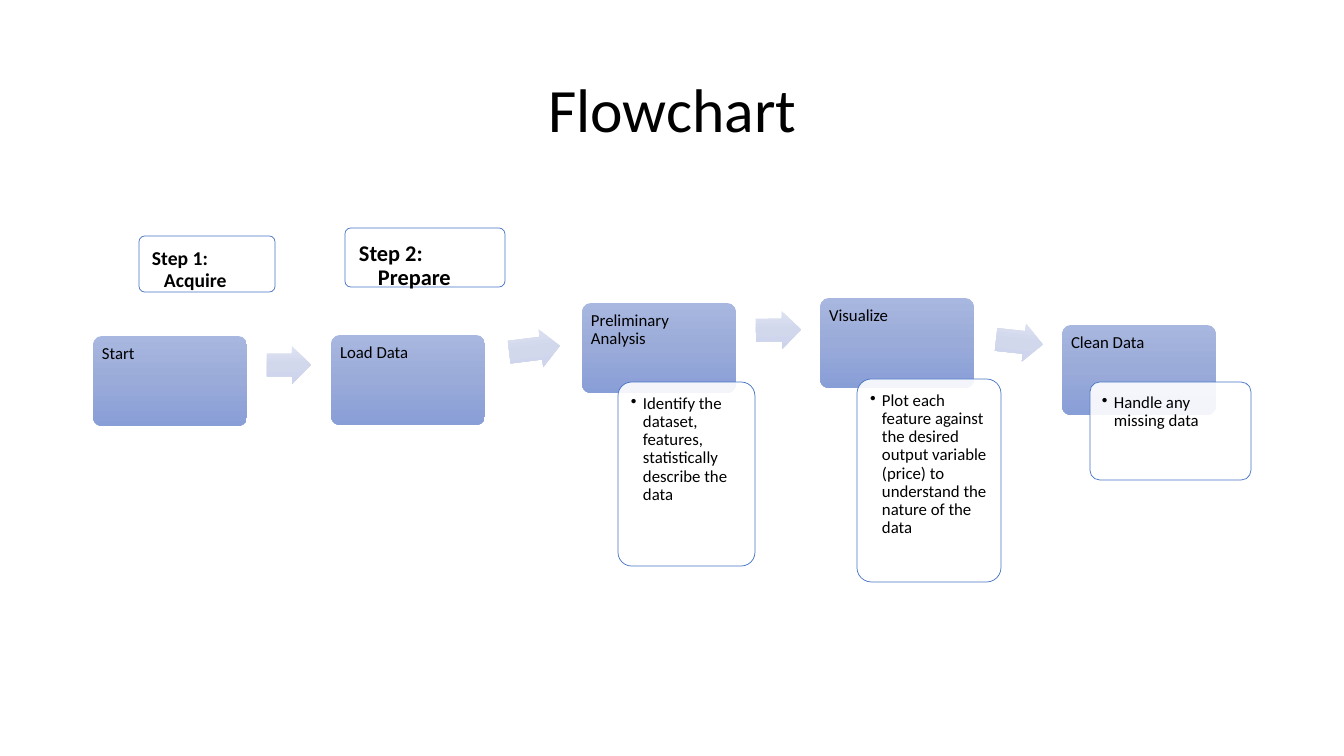
from lxml import etree
from pptx import Presentation
from pptx.dml.color import RGBColor
from pptx.enum.shapes import MSO_SHAPE
from pptx.enum.text import MSO_ANCHOR, PP_ALIGN
from pptx.oxml.ns import qn
from pptx.util import Emu, Pt

ROUNDED = MSO_SHAPE.ROUNDED_RECTANGLE
ARROW = MSO_SHAPE.RIGHT_ARROW
MIDDLE, TOP = MSO_ANCHOR.MIDDLE, MSO_ANCHOR.TOP
CENTER, LEFT = PP_ALIGN.CENTER, PP_ALIGN.LEFT

PIXEL = 914400 / 100.8
FONT = "Calibri"
BLACK, WHITE, BLUE = "000000", "FFFFFF", "4472C4"
CARD_COLORS = ("A8B7DF", "9AABD9", "889ED7")
ARROW_COLORS = ("DEE3F2", "D2D8EC", "CCD3EB")
CARD_SIZE = (154, 90)
CARD_TEXT_HEIGHT = 59

# Each stage: card corner, card title, note box, note text, note style
STEP_1 = {"size": 14, "bold": True, "inset": 11, "hanging": 12}
STEP_2 = {"size": 16, "bold": True, "inset": 12, "hanging": 19}
DETAIL = {"size": 12, "inset": 9, "hanging": 12, "bullet": "•"}
STAGES = [
    ((93, 336), "Start", (139, 236, 136, 56), "Step 1: Acquire", STEP_1),
    ((331, 335), "Load Data", (345, 228, 160, 59), "Step 2: Prepare", STEP_2),
    ((582, 303), "Preliminary Analysis", (618, 382, 137, 184),
     "Identify the dataset, features, statistically describe the data", DETAIL),
    ((820, 298), "Visualize", (857, 379, 144, 203),
     "Plot each feature against the desired output variable (price) "
     "to understand the nature of the data", DETAIL),
    ((1062, 325), "Clean Data", (1090, 382, 161, 98),
     "Handle any missing data", DETAIL),
]
# Arrow box and rotation between neighbouring stages
ARROWS = [
    ((267, 346, 44, 38), -0.2),
    ((509, 330, 51, 38), -7.1),
    ((756, 311, 45, 38), -1.1),
    ((996, 323, 47, 38), 6.2),
]


def px(length):
    """Turn pixels into EMU."""
    return Emu(round(length * PIXEL))


def color(value):
    """Turn a hex string into a colour."""
    return RGBColor.from_string(value)


def add_block(slide, kind, box, adjustments):
    """Add a preset shape without shadow or outline."""
    shape = slide.shapes.add_shape(kind, *map(px, box))
    shape.shadow.inherit = False
    shape.line.fill.background()
    for index, value in enumerate(adjustments):
        shape.adjustments[index] = value
    return shape


def fill_gradient(shape, colors):
    """Fill a shape from top to bottom with evenly spaced colours."""
    shape.fill.gradient()
    shape.fill.gradient_angle = 270
    stops = shape._element.spPr.find(".//" + qn("a:gsLst"))
    for stop in list(stops):
        stops.remove(stop)
    for index, value in enumerate(colors):
        position = 100000 * index // (len(colors) - 1)
        stop = etree.SubElement(stops, qn("a:gs"), pos=str(position))
        etree.SubElement(stop, qn("a:srgbClr"), val=value)


def add_text(slide, box, text, size, insets, bold=False, hanging=0,
             bullet=None, align=LEFT, anchor=TOP):
    """Add a wrapped text box with one paragraph."""
    frame = slide.shapes.add_textbox(*map(px, box)).text_frame
    frame.word_wrap = True
    frame.vertical_anchor = anchor
    (frame.margin_left, frame.margin_top,
     frame.margin_right, frame.margin_bottom) = map(px, insets)
    paragraph = frame.paragraphs[0]
    paragraph.text = text
    paragraph.alignment = align
    paragraph.line_spacing = 0.9
    font = paragraph.runs[0].font
    font.name, font.size, font.bold = FONT, Pt(size), bold
    font.color.rgb = color(BLACK)
    if hanging:
        paragraph.level = 1
        properties = paragraph._p.get_or_add_pPr()
        properties.set("marL", str(px(hanging)))
        properties.set("indent", str(-px(hanging)))
        if bullet:
            etree.SubElement(properties, qn("a:buChar"), char=bullet)


def add_card(slide, corner, title):
    """Draw a shaded stage card with its title in the upper part."""
    width, height = CARD_SIZE
    card = add_block(slide, ROUNDED, (*corner, width, height), [0.1])
    fill_gradient(card, CARD_COLORS)
    add_text(slide, (*corner, width, CARD_TEXT_HEIGHT), title, 12, (9, 9, 9, 5))


def add_note(slide, box, text, size, inset, **style):
    """Draw a translucent outlined note with text inside its corners."""
    left, top, width, height = box
    note = add_block(slide, ROUNDED, box, [0.1])
    note.fill.solid()
    note.fill.fore_color.rgb = color(WHITE)
    fill_color = note._element.spPr.find(qn("a:solidFill"))[0]
    etree.SubElement(fill_color, qn("a:alpha"), val="90000")
    note.line.color.rgb = color(BLUE)
    note.line.width = Pt(0.5)
    corner = round(0.03 * min(width, height))
    inner = (left + corner, top + corner, width - 2 * corner, height - 2 * corner)
    add_text(slide, inner, text, size, [inset] * 4, **style)


def add_arrow(slide, box, rotation):
    """Draw a pale arrow leading to the next stage."""
    arrow = add_block(slide, ARROW, box, [0.6, 0.5])
    fill_gradient(arrow, ARROW_COLORS)
    arrow.rotation = rotation


def build_flowchart(slide):
    """Place the stages from left to right with arrows between them."""
    for index, (corner, title, note_box, note, style) in enumerate(STAGES):
        add_card(slide, corner, title)
        add_note(slide, note_box, note, **style)
        if index < len(ARROWS):
            add_arrow(slide, *ARROWS[index])


presentation = Presentation()
presentation.slide_width, presentation.slide_height = px(1344), px(756)
flowchart = presentation.slides.add_slide(presentation.slide_layouts[6])
add_text(flowchart, (93, 40, 1159, 146), "Flowchart", 44, (10, 5, 10, 5),
         align=CENTER, anchor=MIDDLE)
build_flowchart(flowchart)
presentation.save("out.pptx")
